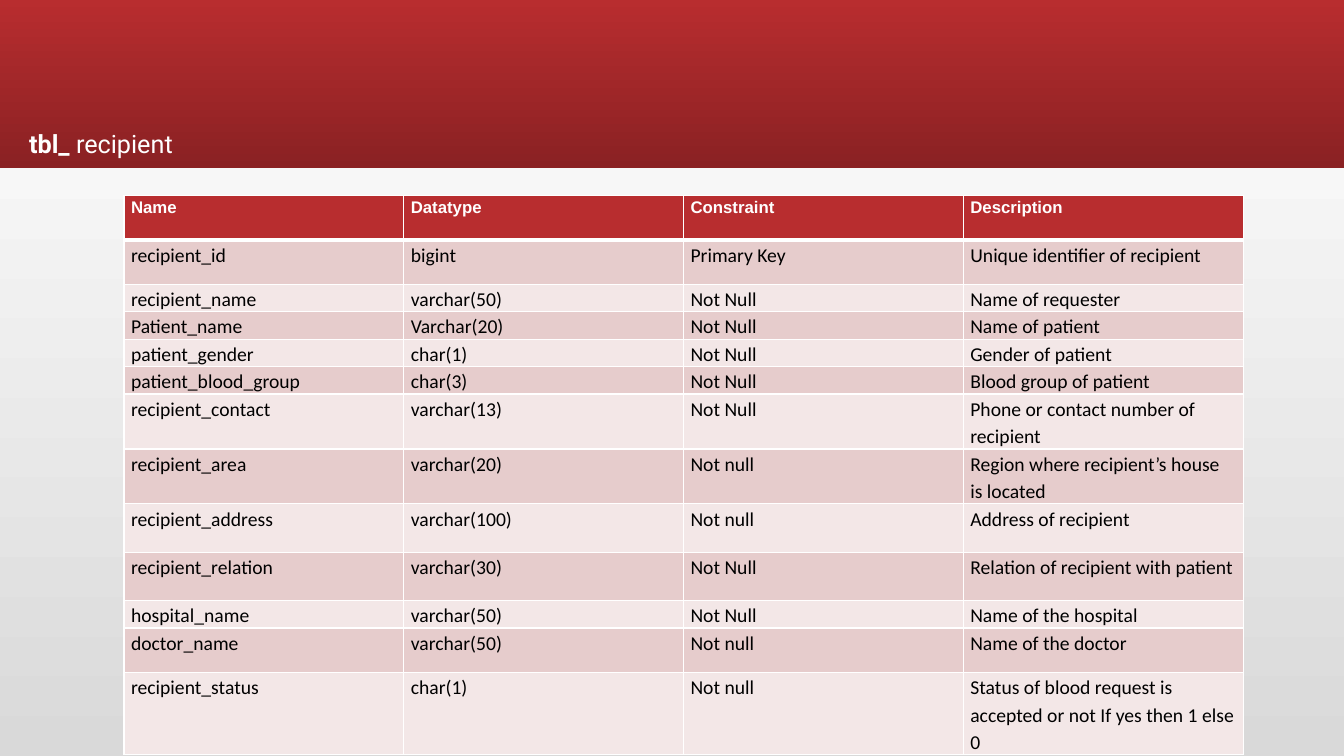
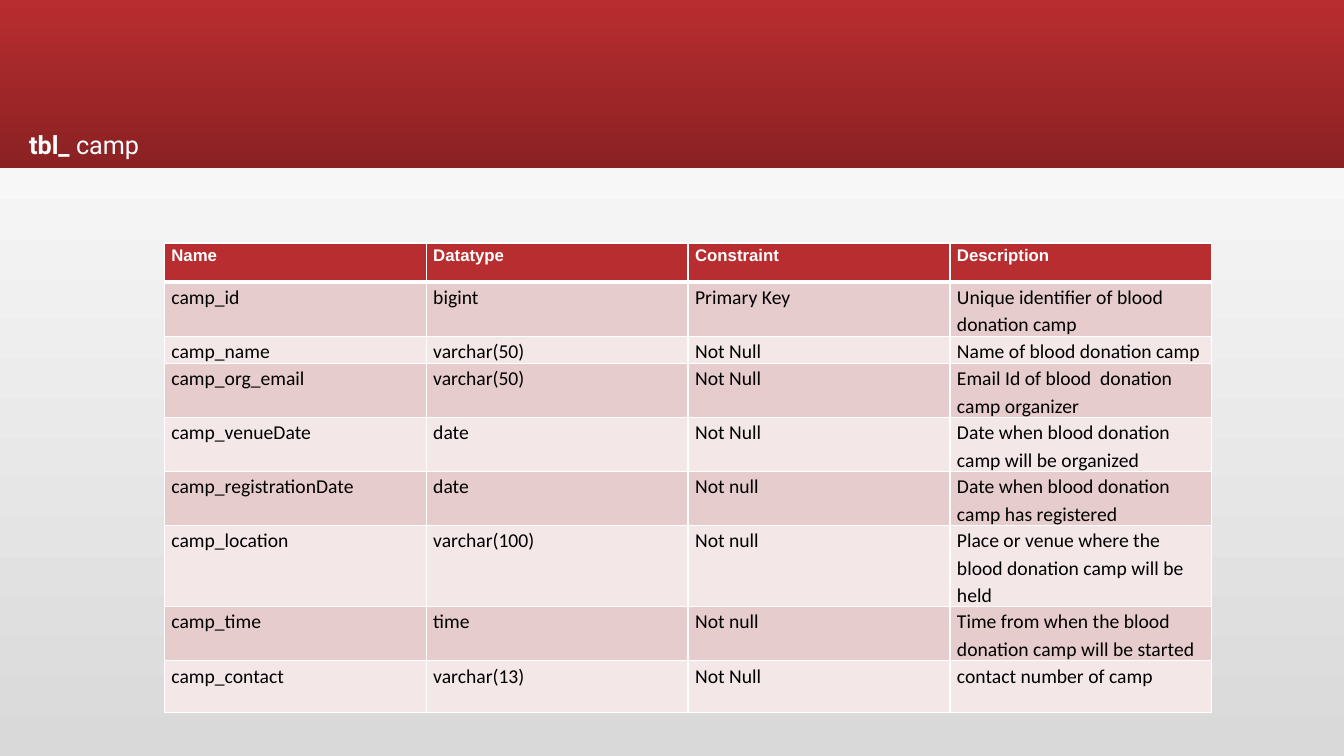
"""Build two slides that describe database tables of a blood donation system."""
import pptx
import pptx.dml.color
import pptx.enum.shapes
import pptx.oxml
import pptx.oxml.ns
import pptx.util

Inches = pptx.util.Inches
Pt = pptx.util.Pt
RGBColor = pptx.dml.color.RGBColor

RED = RGBColor(0xB8, 0x2D, 0x2F)
DARK_RED = RGBColor(0x8A, 0x21, 0x23)
ROSE = RGBColor(0xE6, 0xCC, 0xCC)
PALE_ROSE = RGBColor(0xF3, 0xE7, 0xE7)
WHITE = RGBColor(0xFF, 0xFF, 0xFF)
GREY = RGBColor(0xD9, 0xD9, 0xD9)
BLACK = RGBColor(0, 0, 0)

WIDTH, HEIGHT = 13.33, 7.5
BAND_HEIGHT = 1.67
TITLE_FONT = {"name": "Roboto", "size": Pt(18)}
HEADER_FONT = {"name": "Arial", "size": Pt(12), "bold": True}
BODY_FONT = {"name": "Calibri", "size": Pt(14), "bold": False}
CELL_MARGINS = {
    "margin_left": Inches(0.07),
    "margin_right": Inches(0.07),
    "margin_top": 0,
    "margin_bottom": 0,
}
THIN, THICK = 1, 3

HEADER = ("Name", "Datatype", "Constraint", "Description")
SLIDES = [
    {
        "name": "recipient",
        "title_top": 1.22,
        "table_at": (1.23, 1.94),
        "table_width": 11.1,
        "header_height": 0.44,
        "rows": [
            (0.44, "recipient_id", "bigint", "Primary Key", "Unique identifier of recipient"),
            (0.24, "recipient_name", "varchar(50)", "Not Null", "Name of requester"),
            (0.24, "Patient_name", "Varchar(20)", "Not Null", "Name of patient"),
            (0.24, "patient_gender", "char(1)", "Not Null", "Gender of patient"),
            (0.24, "patient_blood_group", "char(3)", "Not Null", "Blood group of patient"),
            (0.37, "recipient_contact", "varchar(13)", "Not Null",
             "Phone or contact number of recipient"),
            (0.48, "recipient_area", "varchar(20)", "Not null",
             "Region where recipient’s house is located"),
            (0.48, "recipient_address", "varchar(100)", "Not null", "Address of recipient"),
            (0.48, "recipient_relation", "varchar(30)", "Not Null",
             "Relation of recipient with patient"),
            (0.24, "hospital_name", "varchar(50)", "Not Null", "Name of the hospital"),
            (0.44, "doctor_name", "varchar(50)", "Not null", "Name of the doctor"),
            (0.79, "recipient_status", "char(1)", "Not null",
             "Status of blood request is accepted or not If yes then 1 else 0"),
        ],
    },
    {
        "name": "camp",
        "title_top": 1.23,
        "table_at": (1.63, 2.41),
        "table_width": 10.39,
        "header_height": 0.39,
        "rows": [
            (0.49, "camp_id", "bigint", "Primary Key", "Unique identifier of blood donation camp"),
            (0.25, "camp_name", "varchar(50)", "Not Null", "Name of blood donation camp"),
            (0.49, "camp_org_email", "varchar(50)", "Not Null",
             "Email Id of blood  donation camp organizer"),
            (0.49, "camp_venueDate", "date", "Not Null",
             "Date when blood donation camp will be organized"),
            (0.49, "camp_registrationDate", "date", "Not null",
             "Date when blood donation camp has registered"),
            (0.51, "camp_location", "varchar(100)", "Not null",
             "Place or venue where the blood donation camp will be held"),
            (0.51, "camp_time", "time", "Not null",
             "Time from when the blood donation camp will be started"),
            (0.51, "camp_contact", "varchar(13)", "Not Null", "contact number of camp"),
        ],
    },
]


def apply_format(target, values):
    for key, value in values.items():
        setattr(target, key, value)


def fill_downward(fill, top_color, bottom_color):
    fill.gradient()
    fill.gradient_angle = 270
    for stop, position, color in zip(fill.gradient_stops, (0, 1), (top_color, bottom_color)):
        stop.position = position
        stop.color.rgb = color


def add_band(slide):
    band = slide.shapes.add_shape(
        pptx.enum.shapes.MSO_SHAPE.RECTANGLE, 0, 0, Inches(WIDTH), Inches(BAND_HEIGHT))
    band.shadow.inherit = False
    band.line.fill.background()
    fill_downward(band.fill, RED, DARK_RED)


def add_title(slide, name, top):
    box = slide.shapes.add_textbox(Inches(-0.81), Inches(top), Inches(3.31), Inches(0.4))
    box.text_frame.word_wrap = True
    para = box.text_frame.paragraphs[0]
    para.level = 2
    properties = para._p.get_or_add_pPr()
    properties.set("marL", str(Inches(1)))
    properties.set("indent", "0")
    for text, bold in (("tbl_ ", True), (name, False)):
        span = para.add_run()
        span.text = text
        apply_format(span.font, {**TITLE_FONT, "bold": bold})
        span.font.color.rgb = WHITE


def set_borders(cell, top, bottom):
    properties = cell._tc.get_or_add_tcPr()
    for side, width in (("L", THIN), ("R", THIN), ("T", top), ("B", bottom)):
        properties.append(pptx.oxml.parse_xml(
            f'<a:ln{side} {pptx.oxml.ns.nsdecls("a")} w="{Pt(width)}"><a:solidFill>'
            f'<a:srgbClr val="{WHITE}"/></a:solidFill></a:ln{side}>'))


def write_cell(cell, text, row_index):
    is_header = row_index == 0
    set_borders(cell, THICK if row_index == 1 else THIN, THICK if is_header else THIN)
    cell.fill.solid()
    cell.fill.fore_color.rgb = RED if is_header else (PALE_ROSE, ROSE)[row_index % 2]
    apply_format(cell, CELL_MARGINS)
    para = cell.text_frame.paragraphs[0]
    para.line_spacing = 1.15
    span = para.add_run()
    span.text = text
    apply_format(span.font, HEADER_FONT if is_header else BODY_FONT)
    span.font.color.rgb = WHITE if is_header else BLACK


def add_field_table(slide, content):
    rows = [(content["header_height"], *HEADER), *content["rows"]]
    left, top = content["table_at"]
    table = slide.shapes.add_table(
        len(rows), len(HEADER), Inches(left), Inches(top),
        Inches(content["table_width"]), Inches(sum(row[0] for row in rows))).table
    for column in table.columns:
        column.width = Inches(content["table_width"] / len(HEADER))
    for row_index, (height, *texts) in enumerate(rows):
        table.rows[row_index].height = Inches(height)
        for column_index, text in enumerate(texts):
            write_cell(table.cell(row_index, column_index), text, row_index)


def main():
    deck = pptx.Presentation()
    deck.slide_width, deck.slide_height = Inches(WIDTH), Inches(HEIGHT)
    fill_downward(deck.slide_master.background.fill, WHITE, GREY)
    for content in SLIDES:
        slide = deck.slides.add_slide(deck.slide_layouts[6])
        add_band(slide)
        add_field_table(slide, content)
        add_title(slide, content["name"], content["title_top"])
    deck.save("out.pptx")


if __name__ == "__main__":
    main()
